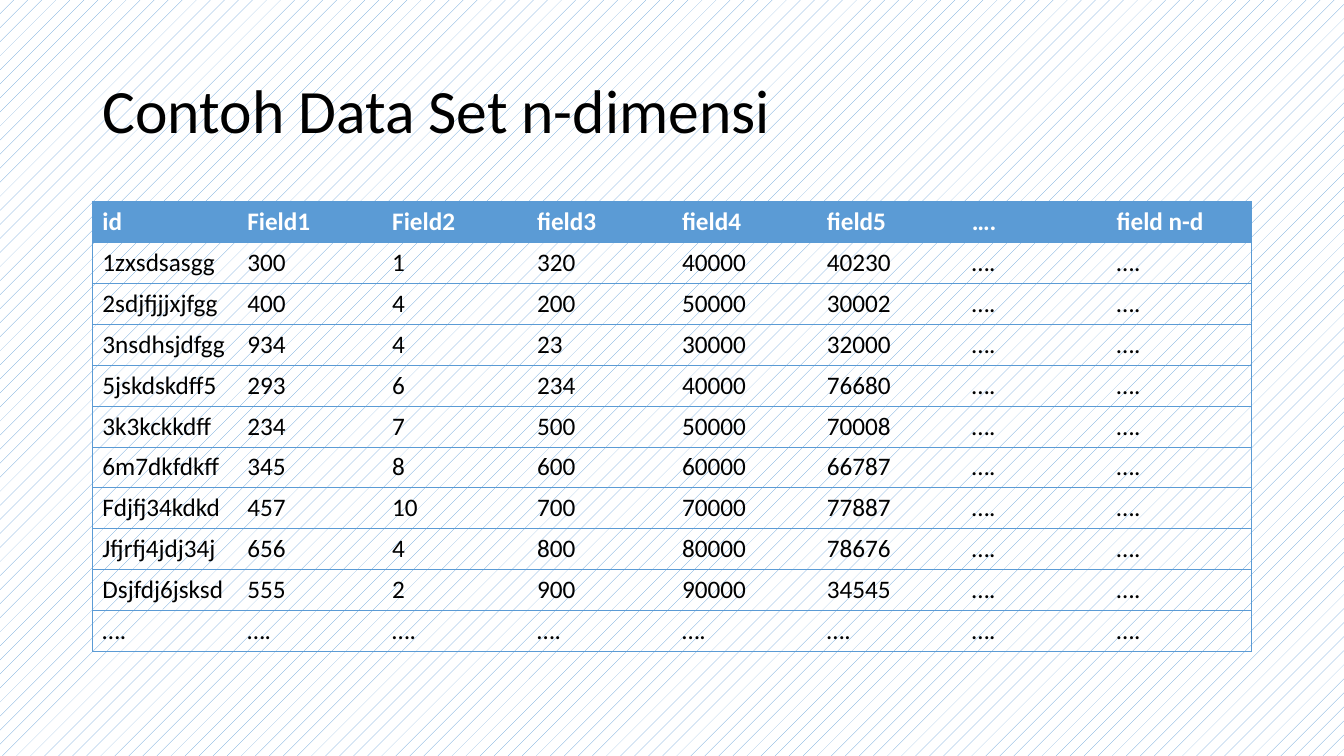
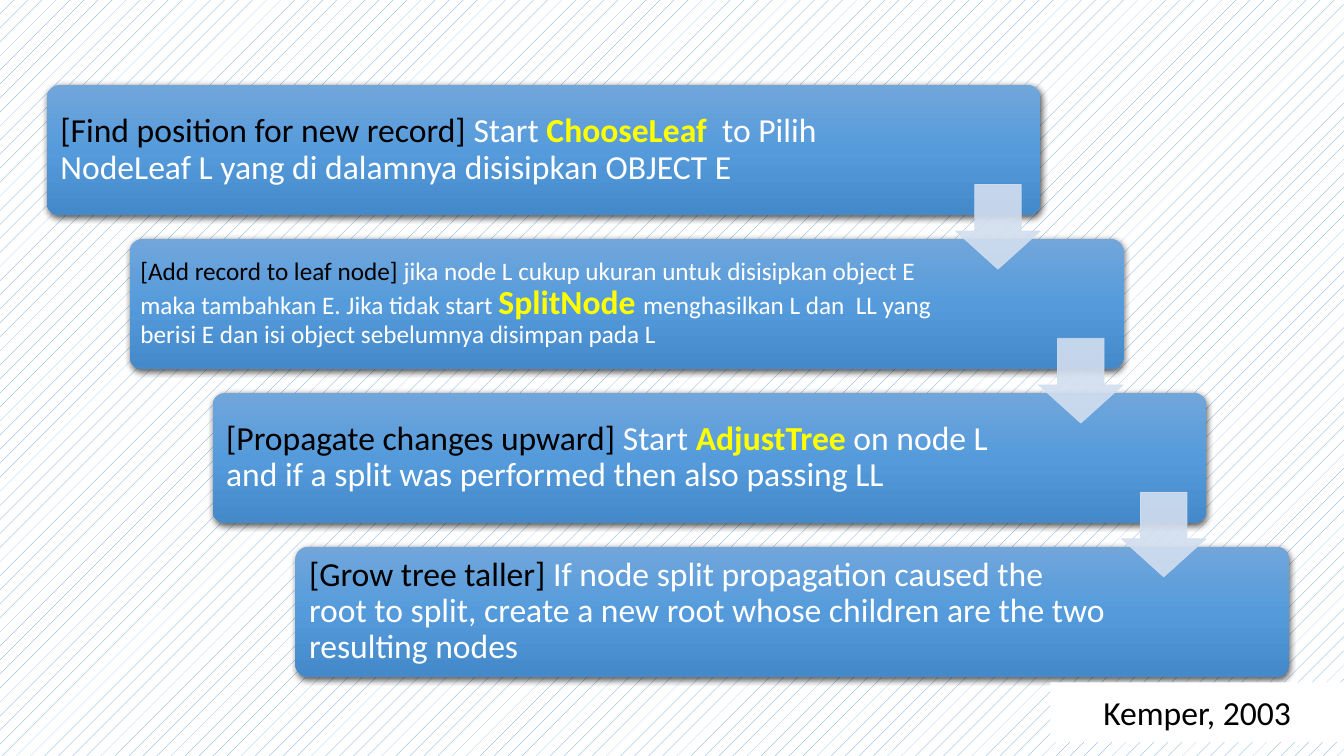
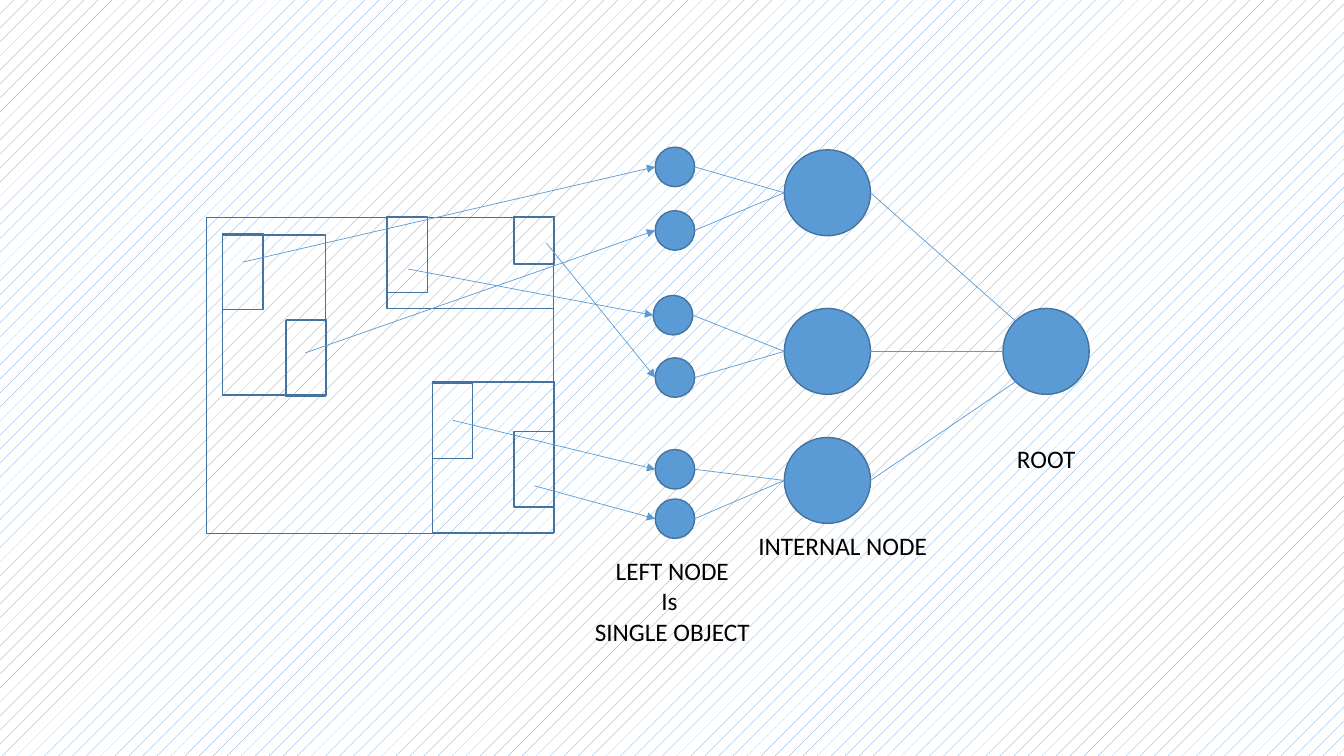
from copy import deepcopy
from dataclasses import dataclass

from pptx import Presentation
from pptx.dml.color import RGBColor
from pptx.enum.dml import MSO_PATTERN
from pptx.enum.shapes import MSO_CONNECTOR, MSO_SHAPE
from pptx.enum.text import MSO_ANCHOR, PP_ALIGN
from pptx.oxml import parse_xml
from pptx.oxml.ns import nsdecls, qn
from pptx.util import Pt


@dataclass(frozen=True)
class Theme:
    """Colours, font and type sizes of the deck."""
    font: str = "Calibri"
    black: RGBColor = RGBColor(0, 0, 0)
    white: RGBColor = RGBColor(255, 255, 255)
    yellow: RGBColor = RGBColor(255, 255, 0)
    blue: RGBColor = RGBColor.from_string("5B9BD5")
    outline: RGBColor = RGBColor.from_string("43739E")
    pale: RGBColor = RGBColor.from_string("D2DEEF")
    gradient: tuple = ((0, "71A6DB"), (0.5, "559BDB"), (1, "448ACA"))
    title: int = 44
    large: int = 24
    body: int = 18
    hairline: float = 0.5


theme = Theme()


def write(frame, paragraphs, align=PP_ALIGN.LEFT, spacing=1.0):
    """Fill a text frame; each paragraph lists (text, size, colour, bold) runs."""
    frame.word_wrap = True
    frame.vertical_anchor = MSO_ANCHOR.MIDDLE
    for index, runs in enumerate(paragraphs):
        para = frame.add_paragraph() if index else frame.paragraphs[0]
        para.alignment = align
        para.line_spacing = spacing
        for text, size, colour, bold in runs:
            span = para.add_run()
            span.text = text
            span.font.name = theme.font
            span.font.size = Pt(size)
            span.font.color.rgb = colour
            span.font.bold = bold


def draw(page, kind, place, fill=None, line=None, width=1):
    """Add a shadowless preset shape at (left, top, width, height) in points."""
    shape = page.shapes.add_shape(kind, *map(Pt, place))
    shape.shadow.inherit = False
    for paint, colour in ((shape.fill, fill), (shape.line.fill, line)):
        if colour is None:
            paint.background()
        else:
            paint.solid()
            paint.fore_color.rgb = colour
    if line is not None:
        shape.line.width = Pt(width)
    return shape


deck = Presentation()
deck.slide_width, deck.slide_height = Pt(960), Pt(540)
backdrop = deck.slide_master.background.fill
backdrop.patterned()
backdrop.pattern = MSO_PATTERN.PERCENT_5
backdrop.fore_color.rgb = theme.blue
backdrop.back_color.rgb = theme.white
title_layout, blank_layout = deck.slide_layouts[5], deck.slide_layouts[6]

# Slide 1: data set table
page = deck.slides.add_slide(title_layout)
title = page.shapes.title
title.left, title.top, title.width, title.height = map(Pt, (66, 28.8, 828, 104.4))
write(title.text_frame,
      [[("Contoh Data Set n-dimensi", theme.title, theme.black, False)]], spacing=0.9)

more = "…."
records = [
    ["id", "Field1", "Field2", "field3", "field4", "field5", more, "field n-d"],
    ["1zxsdsasgg", "300", "1", "320", "40000", "40230", more, more],
    ["2sdjfjjjxjfgg", "400", "4", "200", "50000", "30002", more, more],
    ["3nsdhsjdfgg", "934", "4", "23", "30000", "32000", more, more],
    ["5jskdskdff5", "293", "6", "234", "40000", "76680", more, more],
    ["3k3kckkdff", "234", "7", "500", "50000", "70008", more, more],
    ["6m7dkfdkff", "345", "8", "600", "60000", "66787", more, more],
    ["Fdjfj34kdkd", "457", "10", "700", "70000", "77887", more, more],
    ["Jfjrfj4jdj34j", "656", "4", "800", "80000", "78676", more, more],
    ["Dsjfdj6jsksd", "555", "2", "900", "90000", "34545", more, more],
    [more] * 8,
]
row_count, column_count = len(records), len(records[0])
table = page.shapes.add_table(row_count, column_count, Pt(66), Pt(144),
                              Pt(828), Pt(29.2 * row_count)).table
table.horz_banding = False
for row, record in enumerate(records):
    table.rows[row].height = Pt(29.2)
    header = row == 0
    for column, value in enumerate(record):
        cell = table.cell(row, column)
        write(cell.text_frame,
              [[(value, theme.body, theme.white if header else theme.black, header)]])
        cell.vertical_anchor = MSO_ANCHOR.TOP
        edges = {"lnL": column == 0, "lnR": column == column_count - 1,
                 "lnT": True, "lnB": True}
        for edge, visible in edges.items():
            paint = (f'<a:solidFill><a:srgbClr val="{theme.blue}"/></a:solidFill>'
                     if visible else "<a:noFill/>")
            cell._tc.get_or_add_tcPr().append(parse_xml(
                f'<a:{edge} {nsdecls("a")} w="{Pt(theme.hairline)}">{paint}</a:{edge}>'))
        if header:
            cell.fill.solid()
            cell.fill.fore_color.rgb = theme.blue
        else:
            cell.fill.background()

# Slide 2: insertion steps
page = deck.slides.add_slide(blank_layout)
steps = [
    (601, 7.2, theme.large, "[Find position for new record] ", "Start ", "ChooseLeaf  ",
     "to Pilih NodeLeaf L yang di dalamnya disisipkan OBJECT E"),
    (584, 5, theme.body, "[Add record to leaf node] ",
     "jika node L cukup ukuran untuk disisipkan object E maka tambahkan E. "
     "Jika tidak start ", "SplitNode ",
     "menghasilkan L dan  LL yang berisi E dan isi object sebelumnya disimpan pada L"),
    (585, 7.2, theme.large, "[Propagate changes upward] ", "Start ", "AdjustTree ",
     "on node L and if a split was performed then also passing LL"),
    (584, 7.2, theme.large, "[Grow tree taller] ",
     "If node split propagation caused the root to split, create a new root "
     "whose children are the two resulting nodes", "", ""),
]
step_right, step_down = 59.2, 109.9
for index, (width, inset, size, name, lead, routine, rest) in enumerate(steps):
    left, top = 33.4 + index * step_right, 60.7 + index * step_down
    card = draw(page, MSO_SHAPE.ROUNDED_RECTANGLE, (left, top, 710, 93))
    card.adjustments[0] = 0.1
    card.fill.gradient()
    card.fill.gradient_angle = 270
    properties = card._element.spPr
    stops = properties.find(".//" + qn("a:gsLst"))
    stops.append(deepcopy(stops[0]))
    for stop, (position, colour) in zip(card.fill.gradient_stops, theme.gradient):
        stop.position = position
        stop.color.rgb = RGBColor.from_string(colour)
    properties.find(qn("a:effectLst")).append(parse_xml(
        f'<a:outerShdw {nsdecls("a")} blurRad="{Pt(4.5)}" dist="{Pt(1.5)}" '
        'dir="5400000" algn="ctr" rotWithShape="0"><a:srgbClr val="000000">'
        '<a:alpha val="63000"/></a:srgbClr></a:outerShdw>'))
    box = page.shapes.add_textbox(Pt(left + 2.7), Pt(top + 2.7), Pt(width), Pt(87.6))
    frame = box.text_frame
    frame.margin_left = frame.margin_right = Pt(inset)
    frame.margin_top = frame.margin_bottom = Pt(inset)
    runs = [(name, size, theme.black, False), (lead, size, theme.white, False),
            (routine, theme.large, theme.yellow, True), (rest, size, theme.white, False)]
    write(frame, [[run for run in runs if run[0]]], spacing=0.9)

for index in range(len(steps) - 1):
    arrow = draw(page, MSO_SHAPE.DOWN_ARROW,
                 (682.6 + index * step_right, 131.8 + index * step_down, 60.5, 60.5),
                 theme.pale, theme.pale, theme.hairline)
    arrow.adjustments[0], arrow.adjustments[1] = 0.55, 0.45
    for colour in arrow._element.spPr.iter(qn("a:srgbClr")):
        colour.append(parse_xml(f'<a:alpha {nsdecls("a")} val="90000"/>'))

citation = draw(page, MSO_SHAPE.RECTANGLE, (750.2, 487.4, 209.8, 42.5), theme.white)
write(citation.text_frame, [[("Kemper, 2003", theme.large, theme.black, False)]],
      PP_ALIGN.CENTER)

# Slide 3: regions of space and the tree that indexes them
page = deck.slides.add_slide(blank_layout)
regions = [(147.6, 155.5, 247.7, 225.4), (159.1, 167.8, 73.4, 114.5),
           (308.9, 272.9, 87.1, 107.3), (276.5, 155.5, 118.8, 64.8)]
objects = [(159.1, 167, 28.8, 54), (203.8, 229, 28.8, 54), (308.9, 273.6, 28.8, 54),
           (204.5, 228.2, 28.8, 54), (367.2, 308.2, 28.8, 54),
           (276.5, 154.8, 28.8, 54), (367.2, 154.8, 28.8, 33.8)]
for place in regions + objects:
    draw(page, MSO_SHAPE.RECTANGLE, place, line=theme.outline)

leaf_size, node_width, node_height = 28.2, 61.6, 61.4
leaves = [(468, 105.1), (468, 150.5), (466.6, 211), (468, 255.6), (468, 321.1),
          (468, 356.4)]
sources = [(173.5, 187.2), (218.2, 252), (291.6, 192.2), (390.2, 173.5),
           (323.3, 300.2), (381.6, 347)]
internals = [(560.2, 107), (560.2, 220.3), (560.2, 312.5)]
root_left, root_top = 716.4, 220.3
circles = [(left, top, leaf_size, leaf_size) for left, top in leaves]
circles += [(left, top, node_width, node_height)
            for left, top in internals + [(root_left, root_top)]]
for place in circles:
    draw(page, MSO_SHAPE.FLOWCHART_CONNECTOR, place, theme.blue, theme.outline)

links = []
for index, ((left, top), source) in enumerate(zip(leaves, sources)):
    middle = top + leaf_size / 2
    parent_left, parent_top = internals[index // 2]
    links.append((source, (left, middle), True))
    links.append(((parent_left, parent_top + node_height / 2),
                  (left + leaf_size, middle), False))
for side, (left, top) in zip((-1, 0, 1), internals):
    root_edge = (root_left + 9 * abs(side), root_top + node_height / 2 + 21.7 * side)
    links.append((root_edge, (left + node_width, top + node_height / 2), False))
for start, end, pointed in links:
    link = page.shapes.add_connector(MSO_CONNECTOR.STRAIGHT, *map(Pt, start + end))
    link.line.color.rgb = theme.blue
    link.line.width = Pt(theme.hairline)
    properties = link._element.spPr
    if pointed:
        properties.find(qn("a:ln")).append(
            parse_xml(f'<a:tailEnd {nsdecls("a")} type="triangle"/>'))
    properties.append(parse_xml(f'<a:effectLst {nsdecls("a")}/>'))

labels = [((692.6, 312.5, 109.4, 30.2), ["ROOT"]),
          ((527.8, 374.4, 148.3, 30.2), ["INTERNAL NODE"]),
          ((406.1, 414, 148.3, 30.2), ["LEFT NODE", "Is ", "SINGLE OBJECT"])]
for place, lines in labels:
    label = page.shapes.add_textbox(*map(Pt, place))
    write(label.text_frame, [[(text, theme.body, theme.black, False)] for text in lines],
          PP_ALIGN.CENTER)

deck.save("out.pptx")
